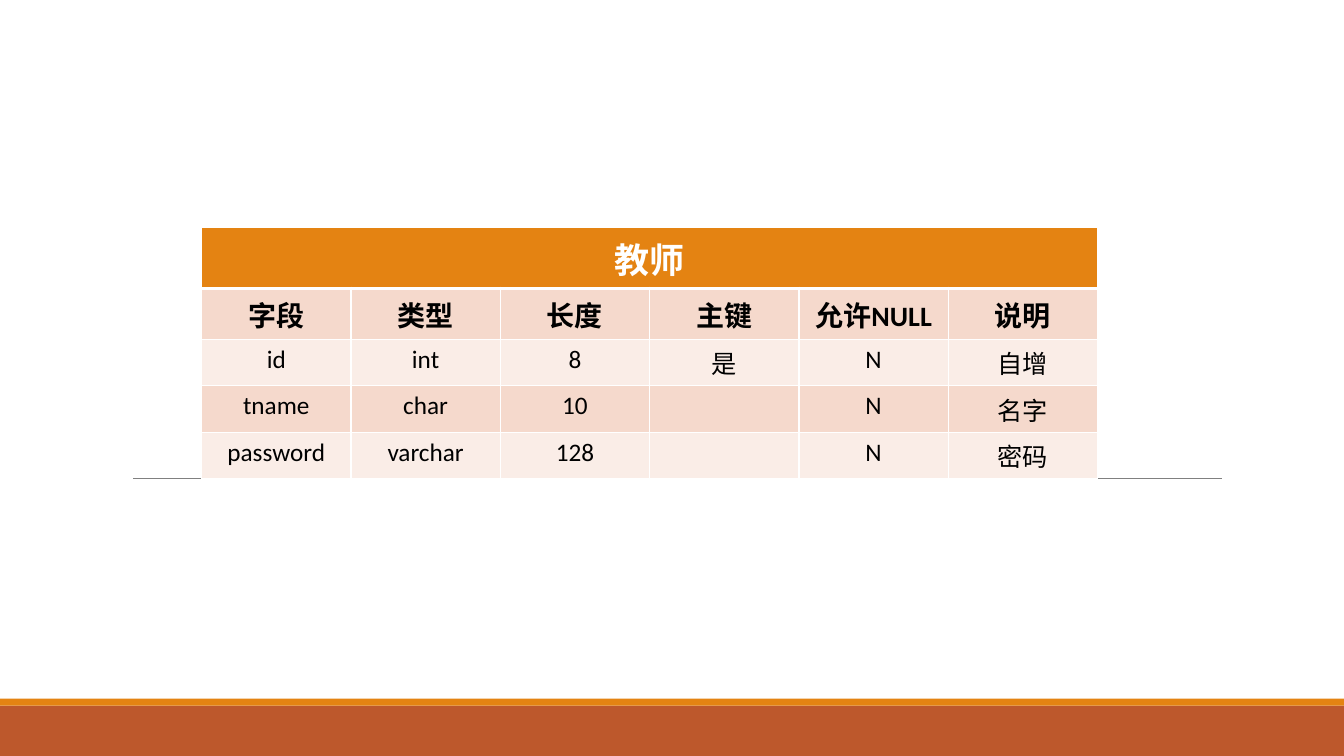
from dataclasses import dataclass

from lxml import etree
from pptx import Presentation, util as u
from pptx.dml.color import RGBColor
from pptx.enum import shapes, text
from pptx.oxml import ns

WIDTH, HEIGHT = 13.33, 7.5


@dataclass(frozen=True)
class Theme:
    """Hold the colours, font and type sizes of the slide."""
    font: str = "Calibri"
    accent: str = "E48312"
    footer: str = "BD582C"
    rule: str = "808080"
    band_dark: str = "F5D9CC"
    band_light: str = "FAEDE7"
    white: str = "FFFFFF"
    black: str = "000000"
    title_size: int = 25
    head_size: int = 20
    body_size: int = 18


THEME = Theme()
TITLE = "教师"
FIELDS = [
    ["字段", "类型", "长度", "主键", "允许NULL", "说明"],
    ["id", "int", "8", "是", "N", "自增"],
    ["tname", "char", "10", "", "N", "名字"],
    ["password", "varchar", "128", "", "N", "密码"],
]
ROW_HEIGHTS = [0.34, 0.34, 0.41, 0.41, 0.41]


def across(share):
    """Turn a share of the slide width into a length."""
    return u.Inches(WIDTH * share)


def down(share):
    """Turn a share of the slide height into a length."""
    return u.Inches(HEIGHT * share)


def add_band(page, top, height, colour):
    """Draw a full-width band without outline."""
    band = page.shapes.add_shape(
        shapes.MSO_SHAPE.RECTANGLE, 0, down(top), across(1), down(height))
    band.shadow.inherit = False
    band.fill.solid()
    band.fill.fore_color.rgb = RGBColor.from_string(colour)
    band.line.fill.background()


def add_rule(page, left, right, level):
    """Draw a thin horizontal rule."""
    rule = page.shapes.add_connector(
        shapes.MSO_CONNECTOR.STRAIGHT,
        across(left), down(level), across(right), down(level))
    rule.line.color.rgb = RGBColor.from_string(THEME.rule)
    rule.line.width = u.Pt(0.5)
    etree.SubElement(rule.element.spPr, ns.qn("a:effectLst"))


def set_borders(cell, widths):
    """Give a cell white borders, with widths in points by side."""
    properties = cell._tc.get_or_add_tcPr()
    for side, width in widths.items():
        border = etree.SubElement(
            properties, ns.qn(f"a:ln{side}"), w=str(u.Pt(width)))
        fill = etree.SubElement(border, ns.qn("a:solidFill"))
        etree.SubElement(fill, ns.qn("a:srgbClr"), val=THEME.white)


def style_cell(cell, wording, fill, widths, size, bold, colour):
    """Write one centred cell with its fill and borders."""
    set_borders(cell, widths)
    cell.fill.solid()
    cell.fill.fore_color.rgb = RGBColor.from_string(fill)
    para = cell.text_frame.paragraphs[0]
    para.alignment = text.PP_ALIGN.CENTER
    formats = {"name": THEME.font, "size": u.Pt(size), "bold": bold}
    fonts = [para.font]
    if wording:
        span = para.add_run()
        span.text = wording
        fonts.append(span.font)
    for font in fonts:
        for name, value in formats.items():
            setattr(font, name, value)
        font.color.rgb = RGBColor.from_string(colour)


def add_field_table(page):
    """Build the titled table of database fields."""
    columns = len(FIELDS[0])
    table = page.shapes.add_table(
        len(ROW_HEIGHTS), columns, across(0.15), down(0.3013),
        across(2 / 3), u.Inches(sum(ROW_HEIGHTS))).table
    for row, height in zip(table.rows, ROW_HEIGHTS):
        row.height = u.Inches(height)
    table.cell(0, 0).merge(table.cell(0, columns - 1))
    rows = [[TITLE] + [""] * (columns - 1)] + FIELDS
    for index, wordings in enumerate(rows):
        widths = {"L": 1, "R": 1, "T": 3 if index == 1 else 1,
                  "B": 3 if index == 0 else 1}
        fill = THEME.band_dark if index % 2 else THEME.band_light
        size, bold, colour = THEME.body_size, False, THEME.black
        if index == 0:
            fill, colour = THEME.accent, THEME.white
            size, bold = THEME.title_size, True
        elif index == 1:
            size, bold = THEME.head_size, True
        for column, wording in enumerate(wordings):
            style_cell(table.cell(index, column), wording, fill, widths,
                       size, bold, colour)


def main():
    """Build the slide and save the deck."""
    deck = Presentation()
    deck.slide_width, deck.slide_height = across(1), down(1)
    page = deck.slides.add_slide(deck.slide_layouts[6])
    add_band(page, 14 / 15, 1 / 15, THEME.footer)
    add_band(page, 0.924, 0.0093, THEME.accent)
    add_rule(page, 0.099, 0.909, 0.633)
    add_field_table(page)
    deck.save("out.pptx")


if __name__ == "__main__":
    main()
